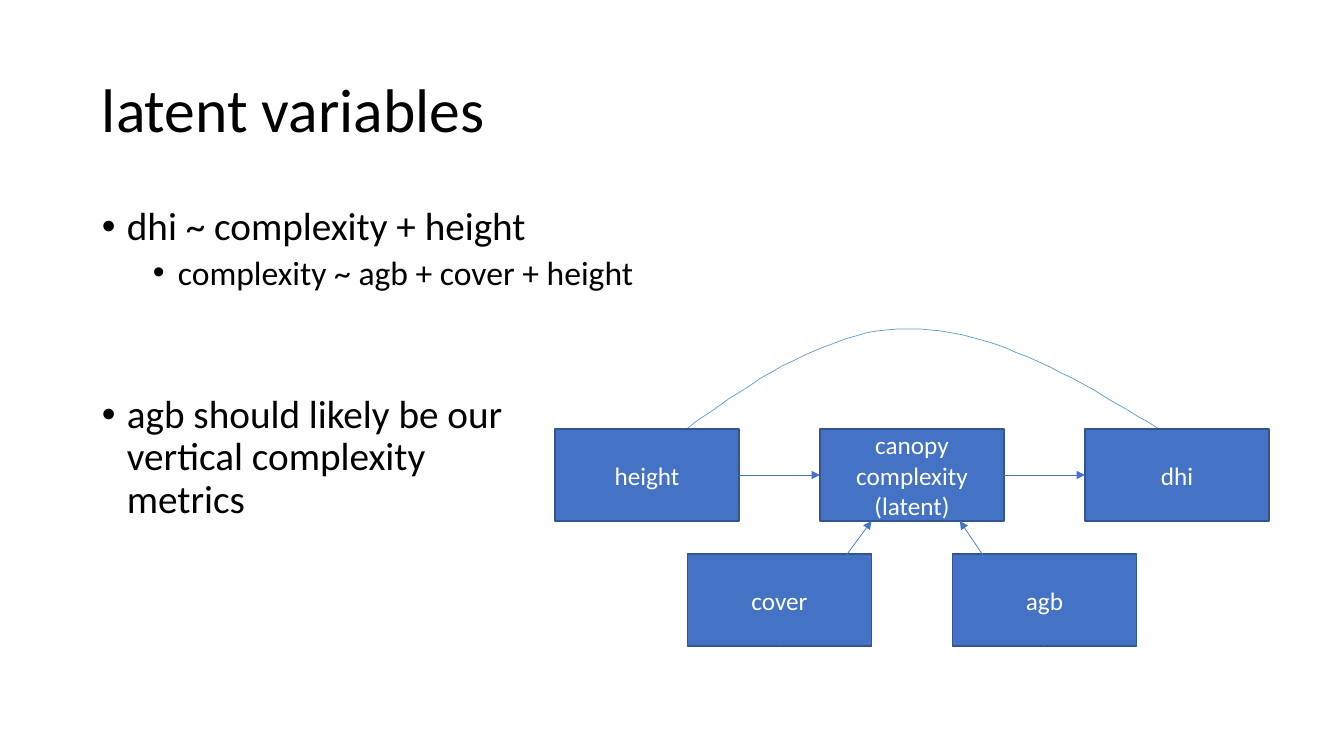
"""Build the latent variables slide: a bullet list beside a path diagram."""
import pptx
import pptx.dml.color
import pptx.enum.shapes
import pptx.enum.text
import pptx.oxml.ns
import pptx.util
from lxml import etree

BLACK = pptx.dml.color.RGBColor(0x00, 0x00, 0x00)
WHITE = pptx.dml.color.RGBColor(0xFF, 0xFF, 0xFF)
BLUE = pptx.dml.color.RGBColor(0x44, 0x72, 0xC4)
DARK_BLUE = pptx.dml.color.RGBColor(0x32, 0x54, 0x91)
LIGHT_BLUE = pptx.dml.color.RGBColor(0x5B, 0x9B, 0xD5)

FONT = "Calibri"
EMU_PER_PX = 914400 / 100.8
SLIDE_SIZE = (1344, 756)

TITLE = "latent variables"
TITLE_BOX = (92, 40, 1159, 146)
BODY_BOX = (92, 202, 1159, 480)
# text, font size, left margin in px, space before in points
BULLETS = [
    ("dhi ~ complexity + height", 28, 25, 0),
    ("complexity ~ agb + cover + height", 24, 76, 5),
    ("agb should likely be our\vvertical complexity\vmetrics", 28, 25, 73),
]
HANGING = 25

# variable: (column, row)
VARIABLES = {
    "canopy complexity (latent)": (1, 0),
    "cover": (0.5, 1),
    "agb": (1.5, 1),
    "dhi": (2, 0),
    "height": (0, 0),
}
NODE_SIZE = (184, 92)
GRID_ORIGIN = (555, 429)
GRID_STEP = (265, 125)
# source, target, start and end as fractions of each box
ARROWS = [
    ("height", "canopy complexity (latent)", (1, 0.5), (0, 0.5)),
    ("canopy complexity (latent)", "dhi", (1, 0.5), (0, 0.5)),
    ("agb", "canopy complexity (latent)", (0.5, 1), (0.76, 1)),
    ("cover", "canopy complexity (latent)", (0.5, 1), (0.28, 1)),
]
HEIGHT_TO_DHI = [
    ((646, 459), (730, 396), (813, 334), (898, 329)),
    ((898, 329), (984, 324), (1072, 376), (1159, 429)),
]
CURVE_STEPS = 24


def px(length):
    return pptx.util.Emu(round(length * EMU_PER_PX))


def node_point(variable, fraction=(0, 0)):
    return [
        origin + step * cell + size * part
        for origin, step, cell, size, part in zip(
            GRID_ORIGIN, GRID_STEP, VARIABLES[variable], NODE_SIZE, fraction
        )
    ]


def bezier(controls, t):
    weights = ((1 - t) ** 3, 3 * t * (1 - t) ** 2, 3 * t**2 * (1 - t), t**3)
    return tuple(
        round(sum(w * value for w, value in zip(weights, axis)), 2)
        for axis in zip(*controls)
    )


def set_font(paragraph, size, color):
    paragraph.font.name = FONT
    paragraph.font.size = pptx.util.Pt(size)
    paragraph.font.color.rgb = color


def add_text_frame(slide, box):
    frame = slide.shapes.add_textbox(*map(px, box)).text_frame
    frame.word_wrap = True
    return frame


def add_title(slide):
    frame = add_text_frame(slide, TITLE_BOX)
    frame.vertical_anchor = pptx.enum.text.MSO_ANCHOR.MIDDLE
    heading = frame.paragraphs[0]
    heading.text = TITLE
    heading.line_spacing = 0.9
    set_font(heading, 44, BLACK)


def add_bullets(slide):
    frame = add_text_frame(slide, BODY_BOX)
    for index, (text, size, margin, space) in enumerate(BULLETS):
        bullet = frame.add_paragraph() if index else frame.paragraphs[0]
        bullet.text = text
        properties = bullet._p.get_or_add_pPr()
        properties.set("marL", str(px(margin)))
        properties.set("indent", str(px(-HANGING)))
        qn = pptx.oxml.ns.qn
        etree.SubElement(properties, qn("a:buFont"), typeface="Arial")
        etree.SubElement(properties, qn("a:buChar"), char="•")
        bullet.line_spacing = 0.9
        bullet.space_before = pptx.util.Pt(space)
        set_font(bullet, size, BLACK)


def add_curve(slide):
    points = [
        bezier(segment, step / CURVE_STEPS)
        for segment in HEIGHT_TO_DHI
        for step in range(CURVE_STEPS + 1)
    ]
    builder = slide.shapes.build_freeform(*points[0], scale=EMU_PER_PX)
    builder.add_line_segments(points[1:], close=False)
    curve = builder.convert_to_shape()
    curve.shadow.inherit = False
    curve.fill.background()
    curve.line.color.rgb = LIGHT_BLUE
    curve.line.width = pptx.util.Pt(0.5)


def add_node(slide, variable):
    node = slide.shapes.add_shape(
        pptx.enum.shapes.MSO_SHAPE.RECTANGLE,
        *map(px, (*node_point(variable), *NODE_SIZE)),
    )
    node.shadow.inherit = False
    node.fill.solid()
    node.fill.fore_color.rgb = BLUE
    node.line.color.rgb = DARK_BLUE
    node.line.width = pptx.util.Pt(1)
    node.text_frame.word_wrap = True
    node.text_frame.vertical_anchor = pptx.enum.text.MSO_ANCHOR.MIDDLE
    label = node.text_frame.paragraphs[0]
    label.text = variable
    label.alignment = pptx.enum.text.PP_ALIGN.CENTER
    set_font(label, 18, WHITE)


def add_arrow(slide, source, target, start, end):
    arrow = slide.shapes.add_connector(
        pptx.enum.shapes.MSO_CONNECTOR.STRAIGHT,
        *map(px, (*node_point(source, start), *node_point(target, end))),
    )
    arrow.line.color.rgb = BLUE
    arrow.line.width = pptx.util.Pt(0.5)
    qn = pptx.oxml.ns.qn
    etree.SubElement(arrow.line._get_or_add_ln(), qn("a:tailEnd"), type="triangle")
    etree.SubElement(arrow._element.spPr, qn("a:effectLst"))


def main():
    deck = pptx.Presentation()
    deck.slide_width, deck.slide_height = map(px, SLIDE_SIZE)
    slide = deck.slides.add_slide(deck.slide_layouts[6])
    add_title(slide)
    add_bullets(slide)
    add_curve(slide)
    for variable in VARIABLES:
        add_node(slide, variable)
    for arrow in ARROWS:
        add_arrow(slide, *arrow)
    deck.save("out.pptx")


if __name__ == "__main__":
    main()
